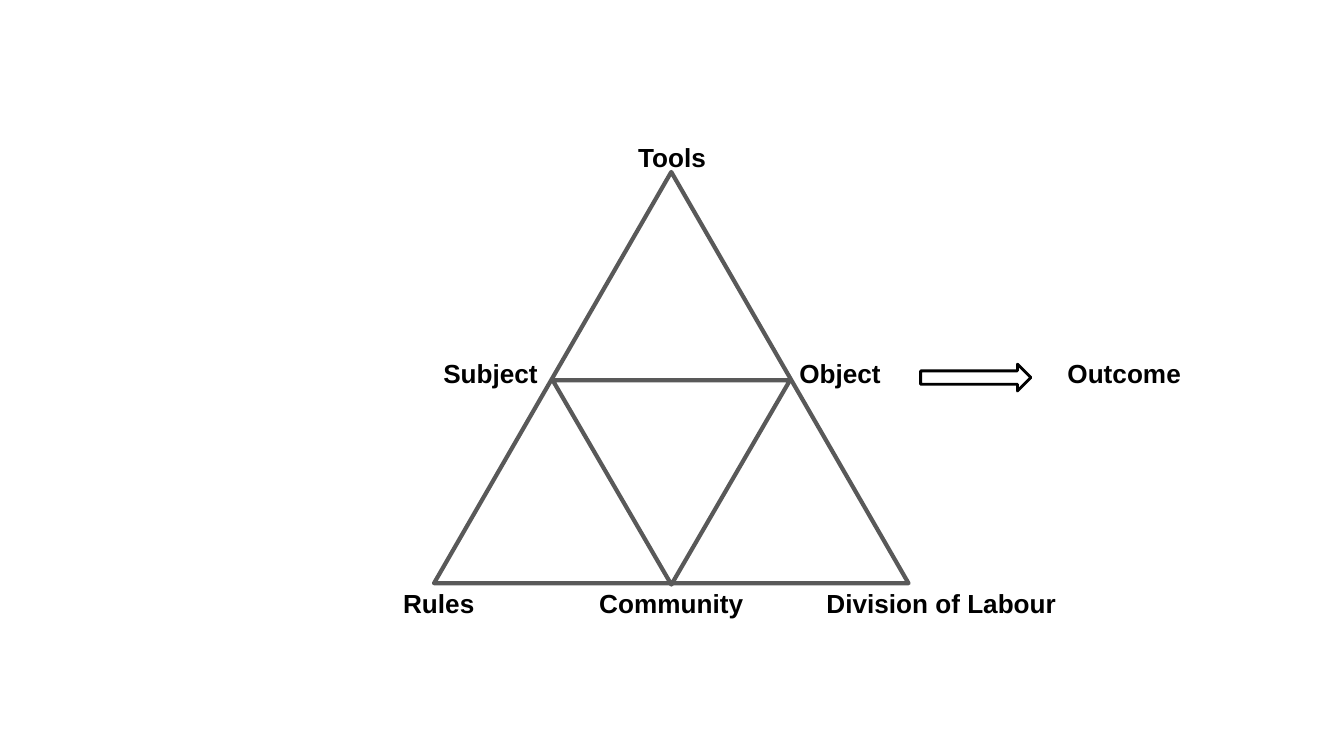
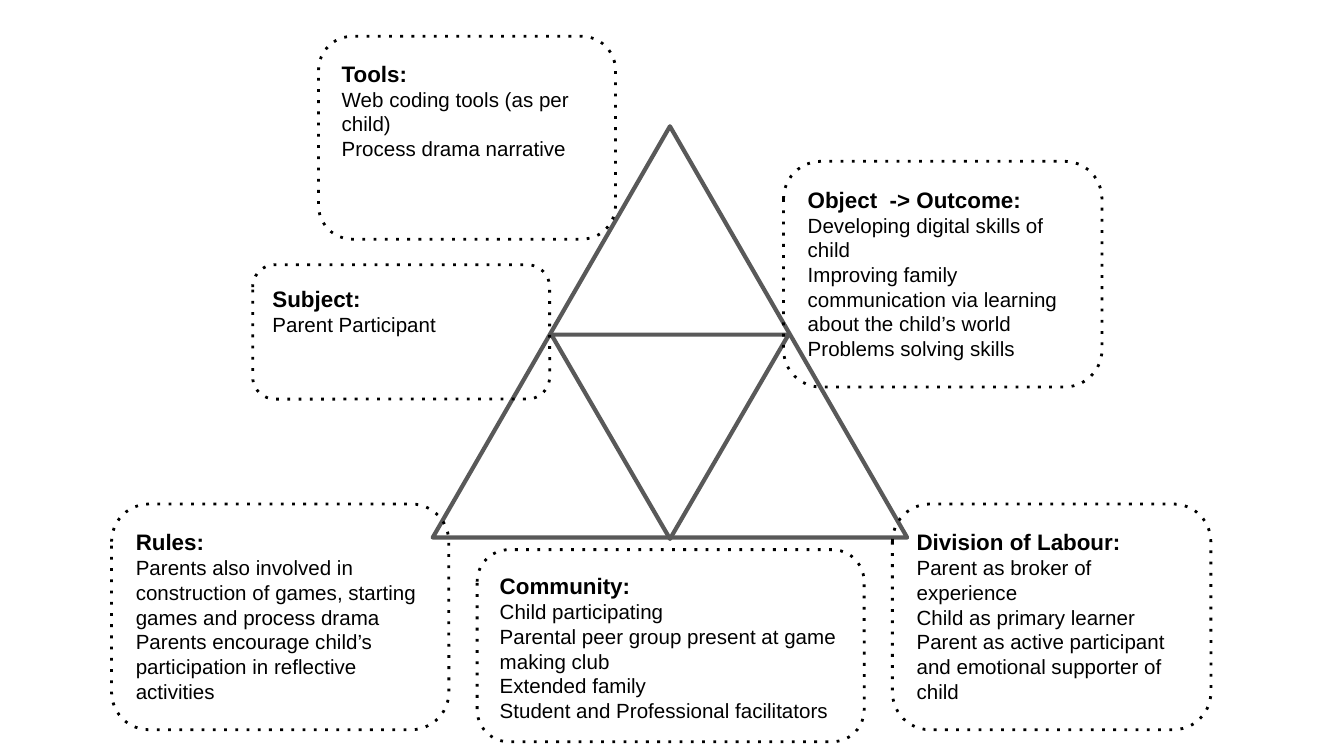
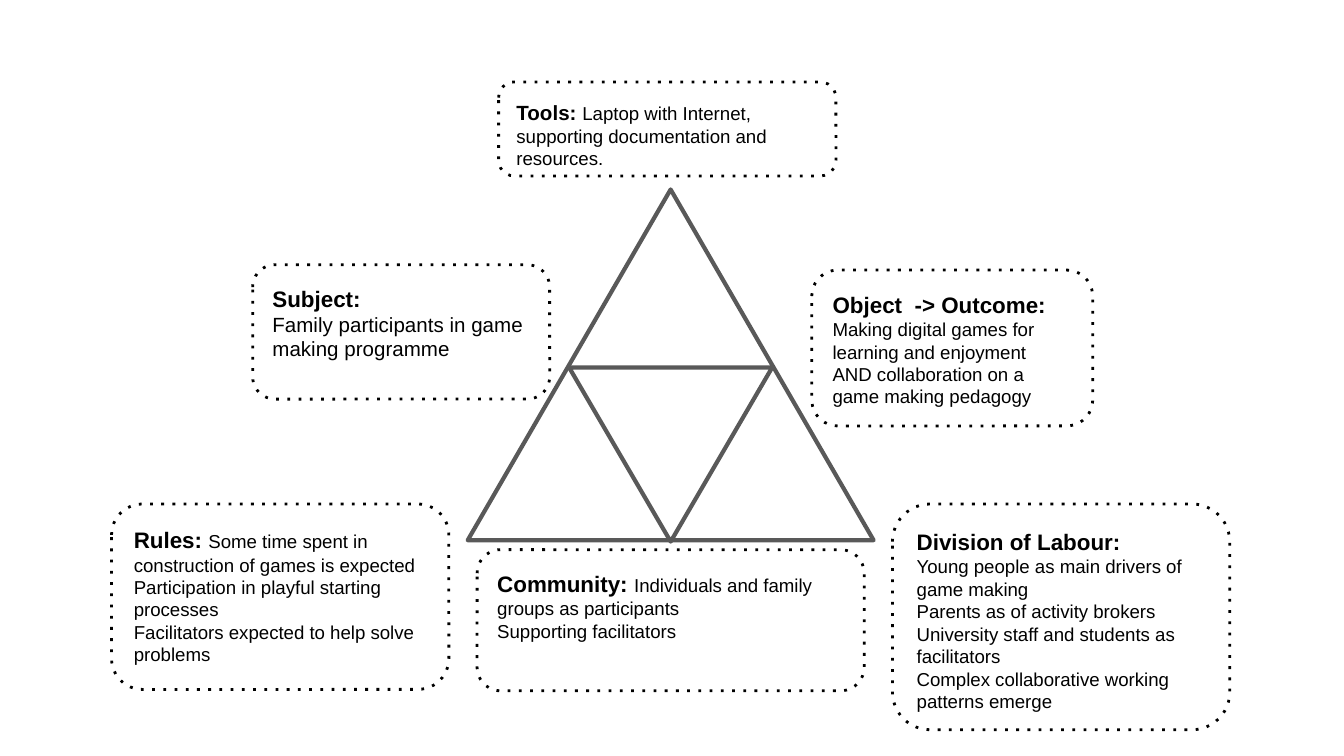
from pptx import Presentation
from pptx.dml.color import RGBColor
from pptx.enum.dml import MSO_LINE
from pptx.enum.shapes import MSO_SHAPE
from pptx.enum.text import MSO_ANCHOR, PP_ALIGN
from pptx.oxml.ns import qn
from pptx.util import Inches, Pt

BLACK = RGBColor(0x00, 0x00, 0x00)
GREY = RGBColor(0x59, 0x59, 0x59)
FONT = "Arial"
DOT = MSO_LINE.ROUND_DOT
TRI, ROUND, ARROW = MSO_SHAPE.ISOSCELES_TRIANGLE, MSO_SHAPE.ROUNDED_RECTANGLE, MSO_SHAPE.RIGHT_ARROW
LEFT, CENTER, TOP = PP_ALIGN.LEFT, PP_ALIGN.CENTER, MSO_ANCHOR.TOP

LABELS = [
    ("Tools", 4.49, 0.95, 1.02, 0.5),
    ("Outcome", 7.75, 2.56, 1.23, 0.5),
    ("Division of Labour", 5.99, 4.27, 2.03, 0.32),
    ("Object", 5.74, 2.56, 1.02, 0.5),
    ("Subject", 3.14, 2.56, 1.02, 0.5),
    ("Rules", 2.25, 4.27, 2.03, 0.32),
    ("Community", 3.98, 4.27, 2.03, 0.32),
]

PARENT = [
    ((2.37, 0.27, 2.21, 1.51), 12, 11, "Tools:",
     ["Web coding tools (as per child)\nProcess drama narrative"]),
    ((1.88, 1.97, 2.21, 1), 12, 11, "Subject:\n", ["Parent Participant"]),
    ((0.83, 3.75, 2.51, 1.68), 12, 11, "Rules:",
     ["Parents also involved in construction of games, starting games and process drama",
      "Parents encourage child’s participation in reflective activities"]),
    ((6.64, 3.75, 2.37, 1.68), 12, 11, "Division of Labour:",
     ["Parent as broker of experience\nChild as primary learner",
      "Parent as active participant and emotional supporter of child"]),
    ((3.55, 4.09, 2.88, 1.43), 12, 11, "Community:",
     ["Child participating", "Parental peer group present at game making club",
      "Extended family", "Student and Professional facilitators"]),
    ((5.83, 1.2, 2.37, 1.68), 12, 11, "Object  -> Outcome:",
     ["Developing digital skills of child",
      "Improving family communication via learning about the child’s world",
      "Problems solving skills"]),
]

FAMILY = [
    ((3.71, 0.61, 2.51, 0.7), 11, 10, "Tools: ",
     ["Laptop with Internet, supporting documentation and resources."]),
    ((1.88, 1.97, 2.21, 1), 12, 11, "Subject:\n",
     ["Family participants in game making programme"]),
    ((0.83, 3.75, 2.51, 1.38), 12, 10, "Rules: ",
     ["Some time spent in construction of games is expected",
      "Participation in playful starting processes",
      "Facilitators expected to help solve problems"]),
    ((6.64, 3.75, 2.51, 1.68), 12, 10, "Division of Labour:",
     ["Young people as main drivers of game making\nParents as of activity brokers\n"
      "University staff and students as facilitators",
      "Complex collaborative working patterns emerge"]),
    ((3.55, 4.09, 2.88, 1.05), 12, 10, "Community: ",
     ["Individuals and family groups as participants", "Supporting facilitators"]),
    ((6.04, 2.01, 2.09, 1.16), 12, 10, "Object  -> Outcome:",
     ["Making digital games for learning and enjoyment",
      "AND collaboration on a game making pedagogy"]),
]


def outline(shapes, kind, box, color, width):
    """Add an unfilled preset shape."""
    shape = shapes.add_shape(kind, *map(Inches, box))
    shape.shadow.inherit = False
    shape.fill.background()
    shape.line.color.rgb = color
    shape.line.width = Pt(width)
    return shape


def dotted(shape):
    """Give the shape's line the widely spaced dot."""
    shape.line.dash_style = DOT
    for dash in shape.element.iter(qn("a:prstDash")):
        dash.set("val", "dot")


def frame(shape):
    """Return the shape's text frame, wrapped and set to the top."""
    text = shape.text_frame
    text.word_wrap = True
    text.vertical_anchor = TOP
    text.margin_left = text.margin_right = Inches(0.1)
    text.margin_top = text.margin_bottom = Inches(0.1)
    return text


def write(para, words, size, bold, align):
    """Add runs to a paragraph, with a line break at each newline."""
    para.alignment = align
    for i, part in enumerate(words.split("\n")):
        if i:
            para.add_line_break()
        if part:
            run = para.add_run()
            run.text = part
            run.font.name = FONT
            run.font.size = Pt(size)
            run.font.bold = bold
            run.font.color.rgb = BLACK


def pyramid(slide, x, y, w, h):
    """Draw a triangle with an inverted one joining the middles of its sides."""
    group = slide.shapes.add_group_shape()
    outline(group.shapes, TRI, (x, y, w, h), GREY, 2.25)
    inner = (x + w / 4, y + h / 2 + 0.02, w / 2, h / 2 - 0.01)
    outline(group.shapes, TRI, inner, GREY, 2.25).rotation = 180


def label(slide, words, *box):
    """Add a bold centred label."""
    text = frame(slide.shapes.add_textbox(*map(Inches, box)))
    write(text.paragraphs[0], words, 14, True, CENTER)


def note(slide, box, big, small, head, lines):
    """Add a dotted box; a head ending in white space shares its paragraph."""
    shape = outline(slide.shapes, ROUND, box, BLACK, 1.5)
    dotted(shape)
    text = frame(shape)
    para = text.paragraphs[0]
    write(para, head, big, True, LEFT)
    for i, line in enumerate(lines):
        if i or head == head.rstrip():
            para = text.add_paragraph()
        write(para, line, small, False, LEFT)


def model(slide):
    """Build the plain model with its labels and outcome arrow."""
    pyramid(slide, 3.23, 1.28, 3.53, 3.06)
    for item in LABELS:
        label(slide, *item)
    outline(slide.shapes, ARROW, (6.85, 2.71, 0.82, 0.2), BLACK, 1.5)


def case(slide, box, notes):
    """Build a model with notes around it."""
    pyramid(slide, *box)
    for item in notes:
        note(slide, *item)


def main():
    """Build and save the deck."""
    deck = Presentation()
    deck.slide_width = Inches(10)
    deck.slide_height = deck.slide_width * 9 // 16
    blank = deck.slide_layouts[6]
    model(deck.slides.add_slide(blank))
    case(deck.slides.add_slide(blank), (3.22, 0.94, 3.53, 3.06), PARENT)
    case(deck.slides.add_slide(blank), (3.48, 1.41, 3.02, 2.61), FAMILY)
    deck.save("out.pptx")


if __name__ == "__main__":
    main()
